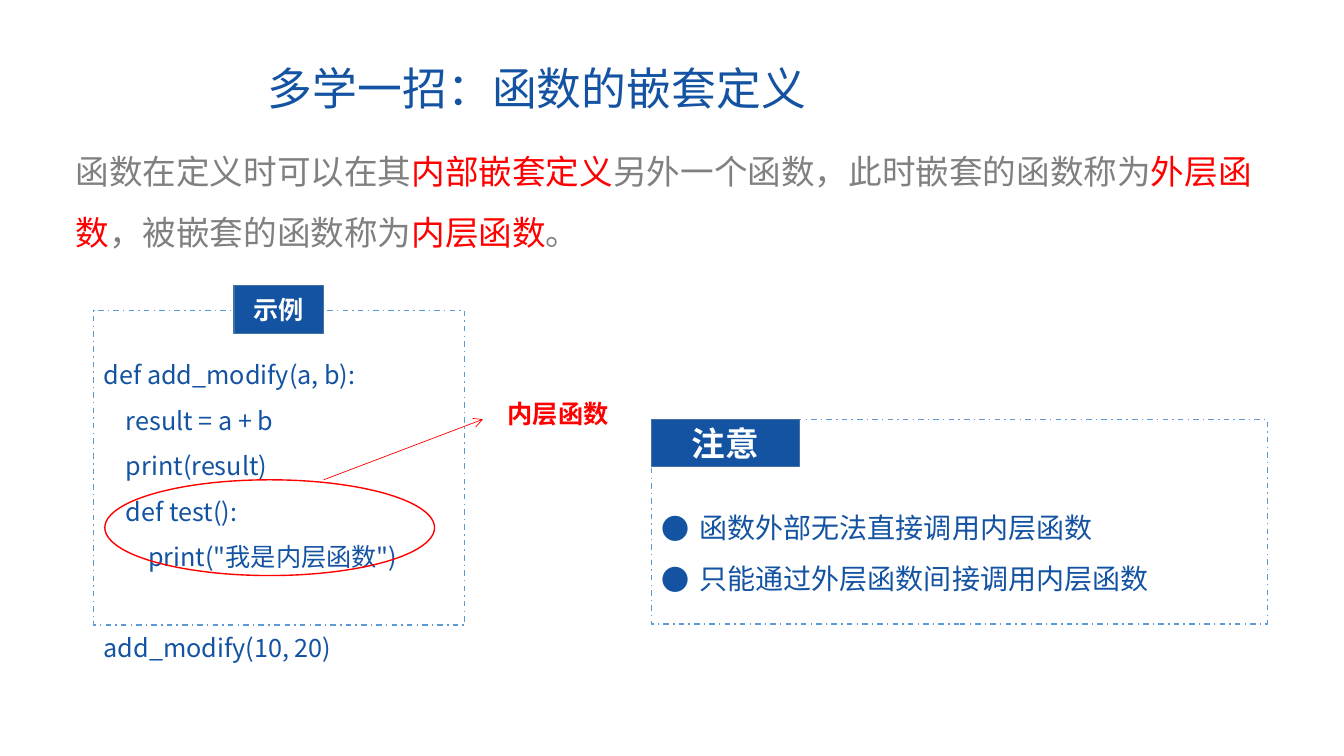
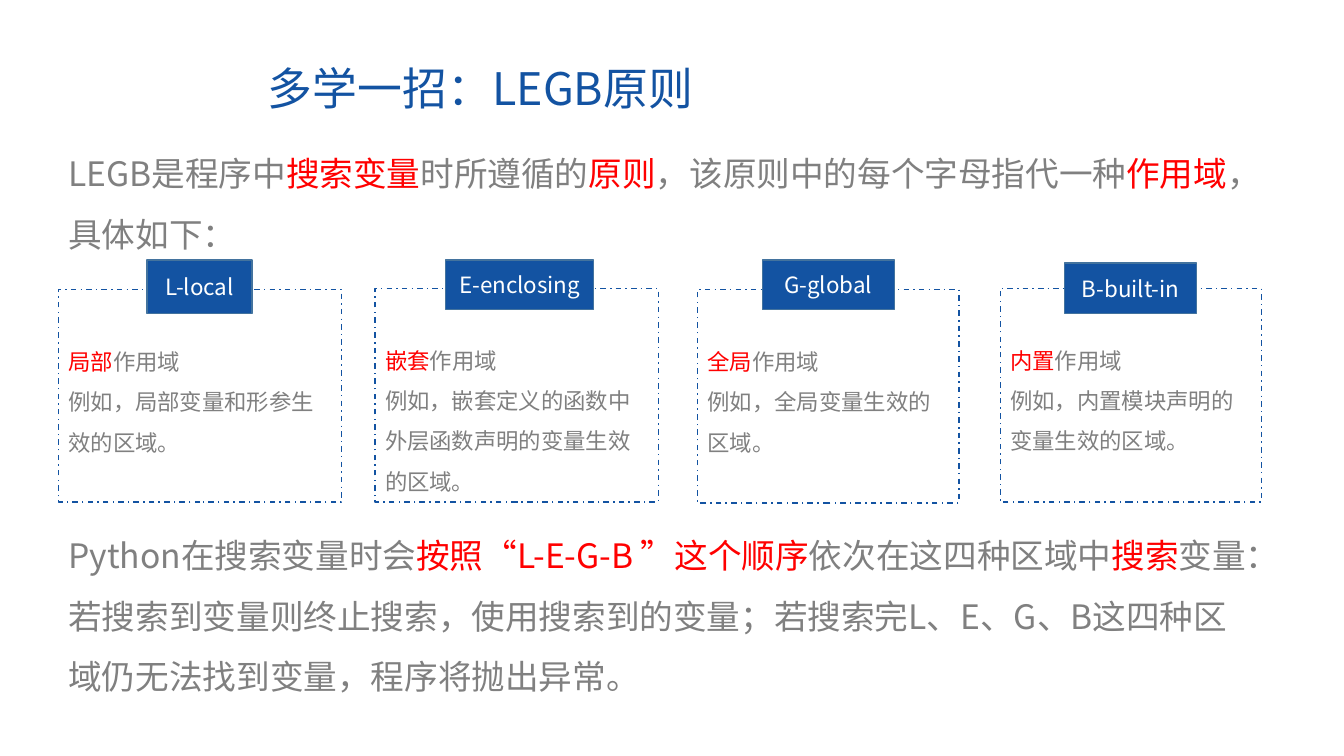
from pptx import Presentation
from pptx import util as u
from pptx.dml.color import RGBColor
from pptx.enum import dml, shapes, text
from pptx.oxml import ns
from lxml import etree

FONT = "Noto Sans CJK SC"
BLUE, RED, GREY, WHITE = "1353A2", "FF0000", "808080", "FFFFFF"
TAG_EDGE, PANEL_EDGE = "43739E", "5B9BD5"
CODE_INDENT = 0.22


def color(value):
    return RGBColor.from_string(value)


def add_xml(parent, tag, **attributes):
    return etree.SubElement(parent, ns.qn(tag), attributes)


class Deck:
    def __init__(self):
        self.presentation = Presentation()
        self.presentation.slide_width = u.Inches(13.33)
        self.presentation.slide_height = u.Inches(7.5)
        self.slide = None

    def new_slide(self, title):
        layout = self.presentation.slide_layouts[6]
        self.slide = self.presentation.slides.add_slide(layout)
        self.text_box((2.56, 0.61, 7.66, 0.59), [title], 32, BLUE,
                      spacing=0.9, middle=True)

    def fill_text(self, shape, lines, size, ink, bold=False, spacing=1.0,
                  centered=False, middle=False):
        frame = shape.text_frame
        frame.word_wrap = True
        frame.vertical_anchor = (text.MSO_ANCHOR.MIDDLE if middle
                                 else text.MSO_ANCHOR.TOP)
        for index, line in enumerate(lines):
            paragraph = frame.add_paragraph() if index else frame.paragraphs[0]
            paragraph.line_spacing = spacing
            paragraph.alignment = (text.PP_ALIGN.CENTER if centered
                                   else text.PP_ALIGN.LEFT)
            for part, words in enumerate(line.split("|")):
                if not words:
                    continue
                run = paragraph.add_run()
                run.text = words
                run.font.size = u.Pt(size)
                run.font.bold = bold
                run.font.color.rgb = color(RED if part % 2 else ink)
                run.font.name = FONT
                add_xml(run.font._element, "a:ea", typeface=FONT)
        return frame.paragraphs

    def text_box(self, box, lines, size, ink, **style):
        shape = self.slide.shapes.add_textbox(*map(u.Inches, box))
        return self.fill_text(shape, lines, size, ink, **style)

    def body(self, box, line):
        self.text_box(box, [line], 24, GREY, spacing=1.5)

    def outline(self, box, edge, fill=None, dashed=False,
                kind=shapes.MSO_SHAPE.RECTANGLE):
        shape = self.slide.shapes.add_shape(kind, *map(u.Inches, box))
        shape.shadow.inherit = False
        if fill:
            shape.fill.solid()
            shape.fill.fore_color.rgb = color(fill)
        else:
            shape.fill.background()
        shape.line.color.rgb = color(edge)
        shape.line.width = u.Pt(1)
        if dashed:
            shape.line.dash_style = dml.MSO_LINE.DASH_DOT
        return shape

    def tag(self, box, label, size, bold=False):
        shape = self.outline(box, TAG_EDGE, BLUE)
        self.fill_text(shape, [label], size, WHITE, bold=bold, centered=True,
                       middle=True)

    def card(self, box, lines):
        shape = self.outline(box, BLUE, dashed=True)
        shape.text_frame.margin_top = u.Inches(0.45)
        self.fill_text(shape, lines, 16, GREY, spacing=1.5)

    def code(self, box, lines):
        paragraphs = self.text_box(box, [line for _, line in lines], 18, BLUE,
                                   spacing=1.5)
        for paragraph, (level, _) in zip(paragraphs, lines):
            properties = paragraph._p.get_or_add_pPr()
            properties.set("marL", str(u.Inches(level * CODE_INDENT)))
        paragraphs[-1].space_before = u.Pt(32.5)

    def bullets(self, box, lines):
        for paragraph in self.text_box(box, lines, 20, BLUE, spacing=1.5):
            properties = paragraph._p.get_or_add_pPr()
            properties.set("marL", str(u.Inches(0.38)))
            properties.set("indent", str(u.Inches(-0.38)))
            add_xml(properties, "a:buFont", typeface=FONT)
            add_xml(properties, "a:buChar", char="●")

    def arrow(self, start, end):
        connector = self.slide.shapes.add_connector(
            shapes.MSO_CONNECTOR.STRAIGHT, *map(u.Inches, start + end))
        connector.line.color.rgb = color(RED)
        connector.line.width = u.Pt(0.5)
        add_xml(connector.line._get_or_add_ln(), "a:tailEnd", type="arrow")
        add_xml(connector._element.spPr, "a:effectLst")


def nested_functions(deck):
    deck.new_slide("多学一招：函数的嵌套定义")
    deck.body((0.65, 1.25, 12.04, 1.24),
              "函数在定义时可以在其|内部嵌套定义|另外一个函数，此时嵌套的函数称为"
              "|外层函数|，被嵌套的函数称为|内层函数|。")

    deck.outline((6.46, 4.16, 6.11, 2.03), PANEL_EDGE, WHITE, dashed=True)
    deck.bullets((6.46, 4.85, 6.11, 1.11),
                 ["函数外部无法直接调用内层函数", "只能通过外层函数间接调用内层函数"])
    deck.tag((6.46, 4.16, 1.47, 0.47), "注意", 24, bold=True)

    deck.outline((0.93, 3.08, 3.68, 3.12), PANEL_EDGE, WHITE, dashed=True)
    deck.code((0.93, 3.37, 3.68, 3.28), [
        (0, "def add_modify(a, b):"),
        (1, "result = a + b"),
        (1, "print(result)"),
        (1, "def test():"),
        (2, 'print("我是内层函数")'),
        (0, "add_modify(10, 20)"),
    ])
    deck.tag((2.32, 2.83, 0.89, 0.48), "示例", 18, bold=True)

    deck.text_box((4.79, 3.8, 1.49, 0.6), ["内层函数"], 18, RED, bold=True,
                  centered=True, middle=True)
    deck.arrow((3.21, 4.76), (4.79, 4.16))
    deck.outline((1.04, 4.76, 3.27, 0.95), RED, kind=shapes.MSO_SHAPE.OVAL)


def legb_rule(deck):
    deck.new_slide("多学一招：LEGB原则")
    deck.body((0.58, 1.27, 12.21, 1.31),
              "LEGB是程序中|搜索变量|时所遵循的|原则|，该原则中的每个字母指代一种"
              "|作用域|，具体如下：")
    scopes = [
        ((0.58, 2.87, 2.81, 2.11), (1.46, 2.58, 1.04, 0.53), "L-local",
         "局部", "例如，局部变量和形参生效的区域。"),
        ((3.72, 2.86, 2.81, 2.12), (4.42, 2.58, 1.47, 0.49), "E-enclosing",
         "嵌套", "例如，嵌套定义的函数中外层函数声明的变量生效的区域。"),
        ((6.92, 2.87, 2.59, 2.12), (7.56, 2.58, 1.31, 0.49), "G-global",
         "全局", "例如，全局变量生效的区域。"),
        ((9.92, 2.86, 2.59, 2.12), (10.56, 2.61, 1.31, 0.5), "B-built-in",
         "内置", "例如，内置模块声明的变量生效的区域。"),
    ]
    for card_box, tag_box, label, scope, example in scopes:
        deck.card(card_box, [f"|{scope}|作用域", example])
        deck.tag(tag_box, label, 16)
    deck.body((0.58, 5.06, 11.93, 1.92),
              "Python在搜索变量时会|按照“L-E-G-B ”这个顺序|依次在这四种区域中|搜索|"
              "变量：若搜索到变量则终止搜索，使用搜索到的变量；若搜索完L、E、G、B"
              "这四种区域仍无法找到变量，程序将抛出异常。")


def main():
    deck = Deck()
    nested_functions(deck)
    legb_rule(deck)
    deck.presentation.save("out.pptx")


if __name__ == "__main__":
    main()
